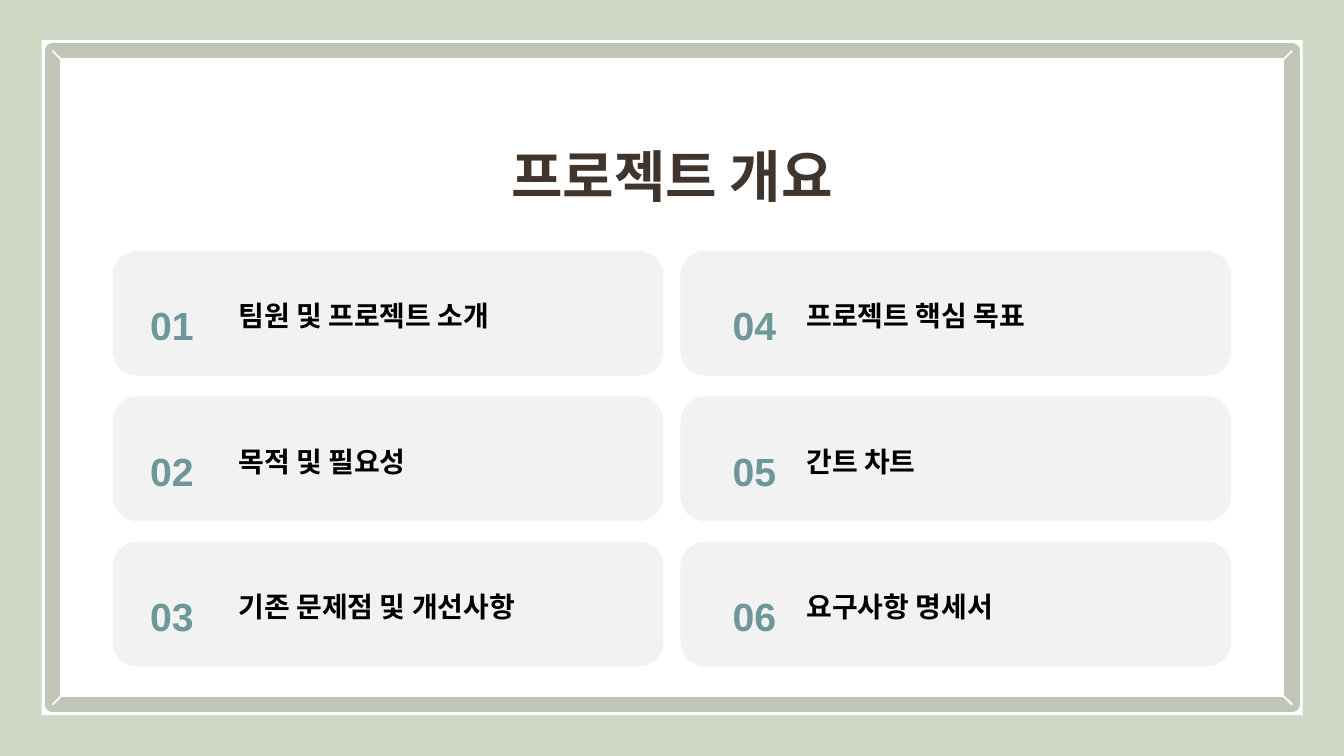
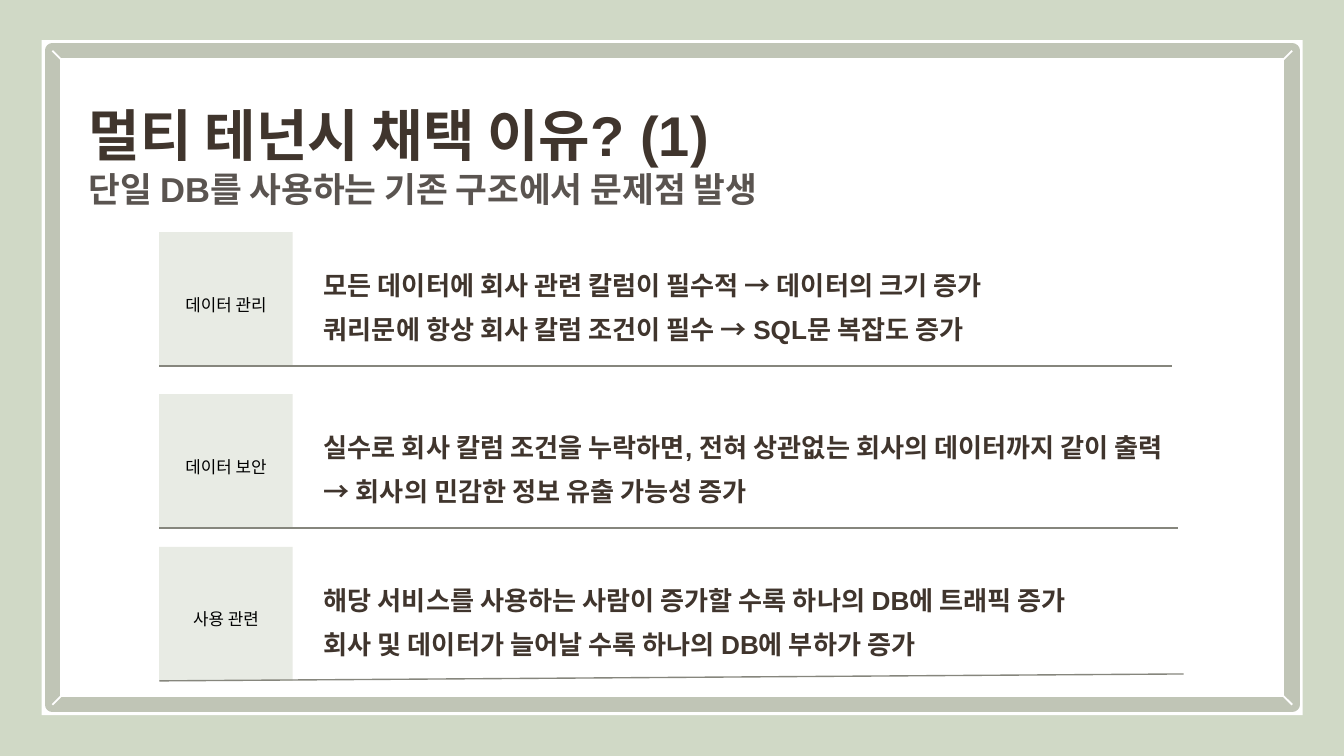
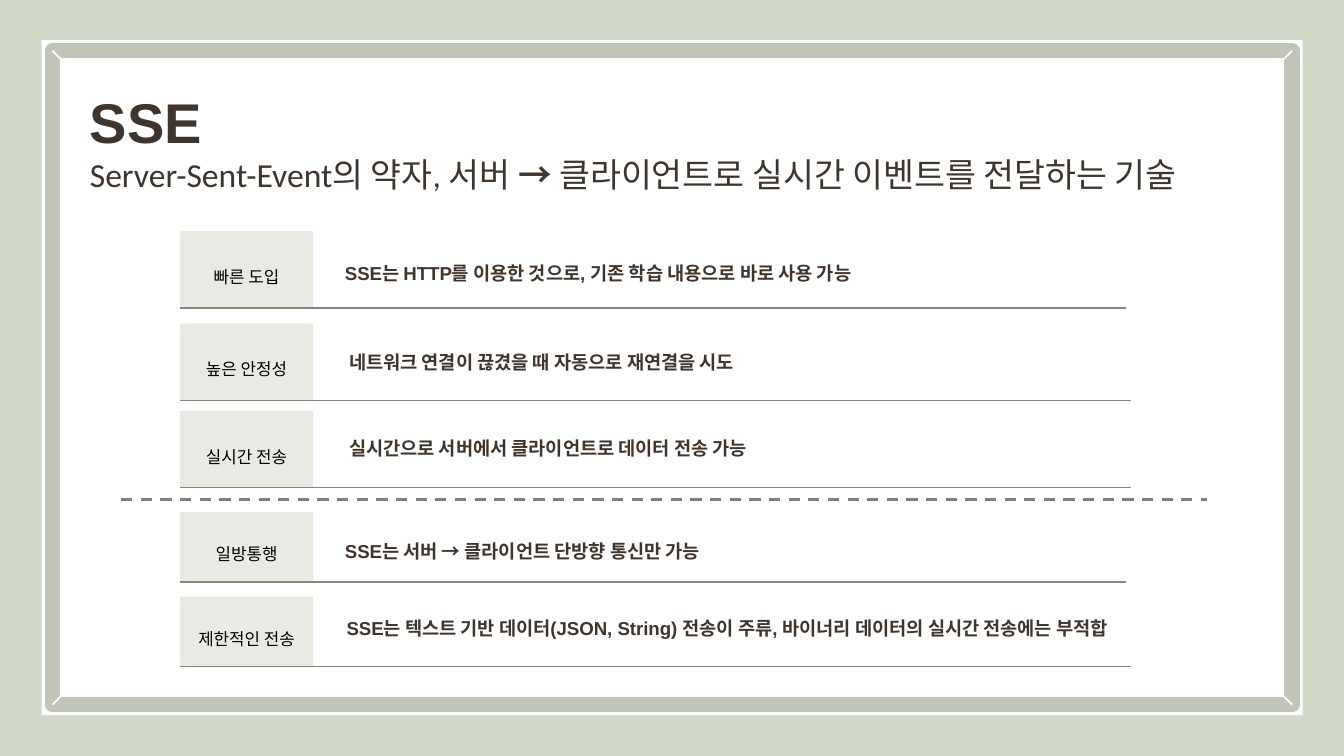
from pptx import Presentation
from pptx.dml.color import RGBColor
from pptx.enum import dml, shapes, text
from pptx.oxml import xmlchemy
from pptx.util import Cm, Pt

COLORS = {
    "page": "D0D9C6", "panel": "FFFFFF", "frame": "C0C5B6", "card": "F2F2F2",
    "tag": "E8EBE4", "rule": "86867D", "divider": "7F7F7F", "title": "40352D",
    "subtitle": "5A5450", "number": "6D9799", "label": "000000",
}
PANEL = (0.79, 0.76, 23.83, 12.76)
FRAME_INSET = 0.2
CORNER = 0.28
TAG_WIDTH = 2.52


def rgb(name):
    return RGBColor.from_string(COLORS[name])


def add_block(slide, box, fill, kind=shapes.MSO_SHAPE.RECTANGLE, border=None, border_pt=0):
    block = slide.shapes.add_shape(kind, *map(Cm, box))
    block.shadow.inherit = False
    block.fill.solid()
    block.fill.fore_color.rgb = rgb(fill)
    if border:
        block.line.color.rgb = rgb(border)
        block.line.width = Pt(border_pt)
    else:
        block.line.fill.background()
    return block


def add_rule(slide, start, end, color, width, dash=None):
    rule = slide.shapes.add_connector(
        shapes.MSO_CONNECTOR.STRAIGHT, *map(Cm, (*start, *end)))
    rule.line.color.rgb = rgb(color)
    rule.line.width = Pt(width)
    if dash:
        rule.line.dash_style = dash
    properties = rule._element.spPr
    properties.append(xmlchemy.OxmlElement("a:effectLst"))


def add_frame(slide, box, margin=0, middle=False):
    frame = slide.shapes.add_textbox(*map(Cm, box)).text_frame
    frame.word_wrap = True
    frame.margin_left = frame.margin_right = Cm(margin)
    frame.margin_top = frame.margin_bottom = Cm(margin)
    if middle:
        frame.vertical_anchor = text.MSO_ANCHOR.MIDDLE
    else:
        frame.auto_size = text.MSO_AUTO_SIZE.SHAPE_TO_FIT_TEXT
    return frame


def write(frame, words, size, color="title", font="Arial", bold=True,
          spacing=None, center=False, same_line=False):
    """Add words as a new paragraph, or as a run that continues the last one."""
    paragraph = frame.paragraphs[-1]
    if paragraph.runs and not same_line:
        paragraph = frame.add_paragraph()
    if spacing:
        paragraph.line_spacing = spacing
    if center:
        paragraph.alignment = text.PP_ALIGN.CENTER
    run = paragraph.add_run()
    run.text = words
    run.font.size = Pt(size)
    run.font.name = font
    run.font.bold = bold
    run.font.color.rgb = rgb(color)


def add_page(deck):
    """Blank slide with the green page and the bevelled picture frame."""
    slide = deck.slides.add_slide(deck.slide_layouts[6])
    slide.background.fill.solid()
    slide.background.fill.fore_color.rgb = rgb("page")
    left, top, width, height = PANEL
    add_block(slide, PANEL, "panel")
    left, top = left + FRAME_INSET, top + FRAME_INSET
    width, height = width - 2 * FRAME_INSET, height - 2 * FRAME_INSET
    add_block(slide, (left, top, width, height), "panel", border="frame", border_pt=8.25)
    # Mitred corners
    for x, dx in ((left, CORNER), (left + width, -CORNER)):
        for y, dy in ((top, CORNER), (top + height, -CORNER)):
            add_rule(slide, (x, y), (x + dx, y + dy), "panel", 1)
    return slide


def add_title(slide, box, title, center=False):
    frame = add_frame(slide, box)
    write(frame, title, 30, spacing=1.4, center=center)
    return frame


def add_card(slide, box, number, topic, number_left):
    left, top, _, _ = box
    card = add_block(slide, box, "card", shapes.MSO_SHAPE.ROUNDED_RECTANGLE)
    card.adjustments[0] = 0.2
    number_frame = add_frame(slide, (left + number_left, top + 0.61, 1.48, 0.89))
    write(number_frame, f"{number:02d}", 21, "number", spacing=1.4, center=True)
    topic_frame = add_frame(slide, (left + 2.38, top + 0.95, 6.78, 0.61))
    write(topic_frame, topic, 15, "label", spacing=0.96)


def add_row(slide, box, label, lines, text_box, size, lift, spacing=1.4, rise=0):
    """Tag, text and underline; text_box is left, top and width within the row."""
    left, top, width, height = box
    add_block(slide, (left, top, TAG_WIDTH, height), "tag")
    tag = add_frame(slide, (left, top - lift, TAG_WIDTH, height + lift), 0.05, middle=True)
    write(tag, label, 9, "label", "Calibri", bold=False, spacing=1.94, center=True)
    text_left, text_top, text_width = text_box
    reason = add_frame(slide, (left + text_left, top + text_top, text_width, 0.43))
    for line in lines:
        write(reason, line, size, spacing=spacing)
    bottom = top + height
    add_rule(slide, (left, bottom), (left + width, bottom - rise), "rule", 0.75)


def overview_slide(deck):
    slide = add_page(deck)
    add_title(slide, (7.37, 2.16, 10.67, 1.27), "프로젝트 개요", center=True)
    columns = (
        (0.38, ("팀원 및 프로젝트 소개", "목적 및 필요성", "기존 문제점 및 개선사항")),
        (0.66, ("프로젝트 핵심 목표", "간트 차트", "요구사항 명세서")),
    )
    for column, (number_left, topics) in enumerate(columns):
        for row, topic in enumerate(topics):
            box = (2.13 + column * 10.73, 4.74 + row * 2.75, 10.41, 2.36)
            add_card(slide, box, column * len(topics) + row + 1, topic, number_left)


def tenancy_slide(deck):
    slide = add_page(deck)
    heading = add_title(slide, (1.68, 1.4, 14.91, 2.59), "멀티 테넌시 채택 이유? (1)")
    write(heading, "단일 DB를 사용하는 기존 구조에서 문제점 발생", 18.5, "subtitle")
    # Top, rule width, rule rise, text width, label, lines
    problems = (
        (4.39, 19.13, 0, 16.43, "데이터 관리",
         ("모든 데이터에 회사 관련 칼럼이 필수적 → 데이터의 크기 증가",
          "쿼리문에 항상 회사 칼럼 조건이 필수 → SQL문 복잡도 증가")),
        (7.45, 19.25, 0, 16.23, "데이터 보안",
         ("실수로 회사 칼럼 조건을 누락하면, 전혀 상관없는 회사의 데이터까지 같이 출력 "
          "→ 회사의 민감한 정보 유출 가능성 증가",)),
        (10.34, 19.36, 0.13, 15.39, "사용 관련",
         ("해당 서비스를 사용하는 사람이 증가할 수록 하나의 DB에 트래픽 증가",
          "회사 및 데이터가 늘어날 수록 하나의 DB에 부하가 증가")),
    )
    for top, width, rise, text_width, label, lines in problems:
        add_row(slide, (3.01, top, width, 2.53), label, lines,
                (3.11, 0.47, text_width), 14, lift=0.16, rise=rise)


def sse_slide(deck):
    slide = add_page(deck)
    heading = add_title(slide, (1.7, 1.14, 22.23, 2.57), "SSE")
    write(heading, "Server-Sent-Event의 약자, 서버", 18, font="Calibri", bold=False)
    write(heading, " →", 18, same_line=True)
    write(heading, " 클라이언트로 실시간 이벤트를 전달하는 기술", 18,
          font="Calibri", bold=False, same_line=True)
    # Top, height, rule width, text box, line spacing, label, line
    traits = (
        (4.37, 1.45, 17.88, (3.12, 0.41, 16.43), 1.4, "빠른 도입",
         "SSE는 HTTP를 이용한 것으로, 기존 학습 내용으로 바로 사용 가능"),
        (6.12, 1.45, 17.98, (3.2, 0.51, 15.44), 1, "높은 안정성",
         "네트워크 연결이 끊겼을 때 자동으로 재연결을 시도"),
        (7.77, 1.45, 17.98, (3.2, 0.48, 15.31), 1, "실시간 전송",
         "실시간으로 서버에서 클라이언트로 데이터 전송 가능"),
        (9.68, 1.32, 17.88, (3.12, 0.36, 16.43), 1.4, "일방통행",
         "SSE는 서버 → 클라이언트 단방향 통신만 가능"),
        (11.28, 1.32, 17.98, (3.15, 0.38, 15.62), 1, "제한적인 전송",
         "SSE는 텍스트 기반 데이터(JSON, String) 전송이 주류, "
         "바이너리 데이터의 실시간 전송에는 부적합"),
    )
    for top, height, width, text_box, spacing, label, line in traits:
        add_row(slide, (3.4, top, width, height), label, (line,), text_box, 10,
                lift=0.09, spacing=spacing)
    # Divider between strengths and limits
    add_rule(slide, (2.29, 9.45), (22.81, 9.45), "divider", 1.5, dml.MSO_LINE.DASH)


def main():
    deck = Presentation()
    deck.slide_width, deck.slide_height = Cm(25.4), Cm(14.29)
    overview_slide(deck)
    tenancy_slide(deck)
    sse_slide(deck)
    deck.save("out.pptx")


if __name__ == "__main__":
    main()
